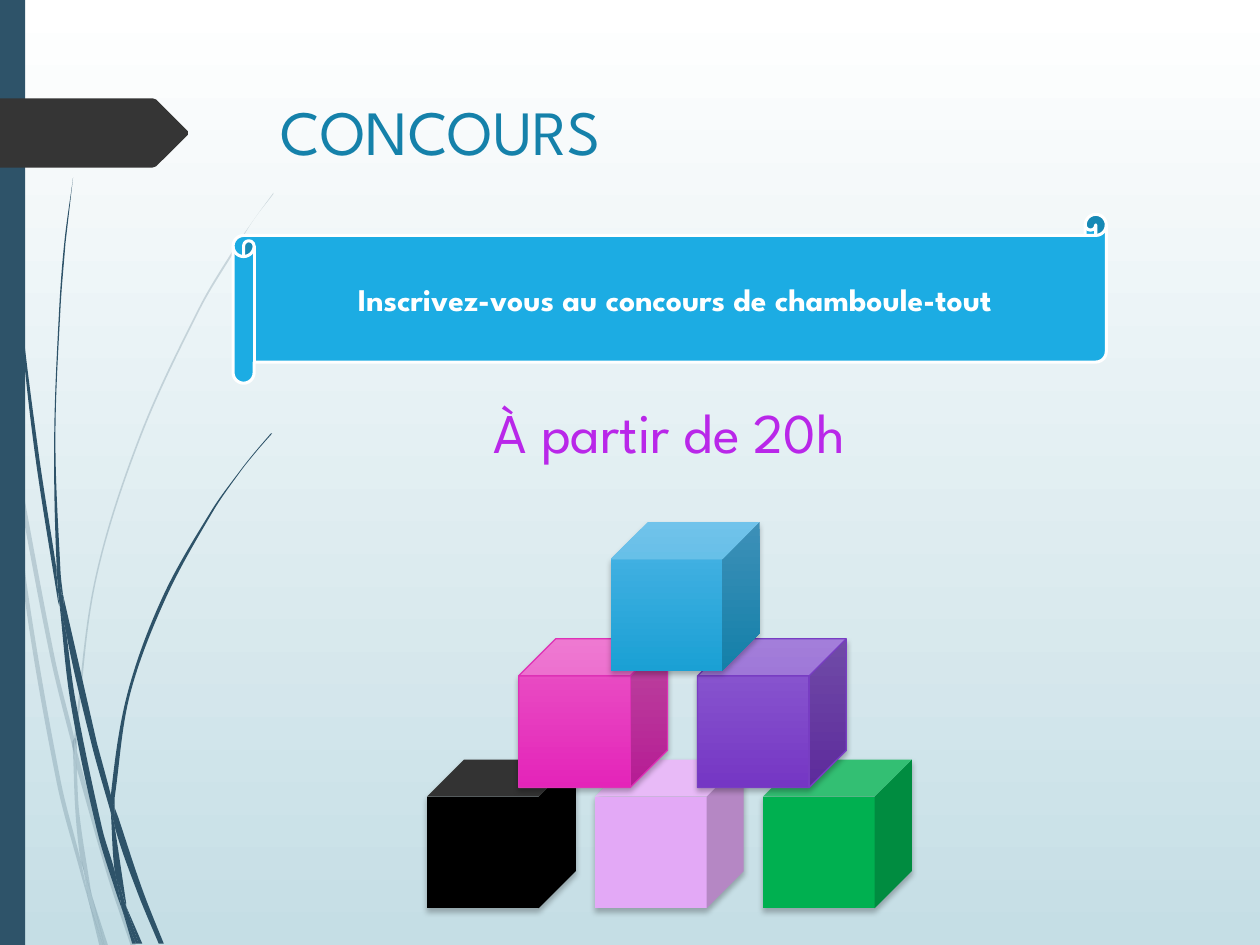
import math

from lxml import etree
from pptx import Presentation
from pptx import util as u
from pptx.dml.color import RGBColor
from pptx.enum import shapes, text
from pptx.oxml import ns

Pt = u.Pt
FONT = "League Spartan"
GRID = 0.72
FINE = 10
WHITE = RGBColor(0xFF, 0xFF, 0xFF)
MIST = RGBColor(0xC5, 0xDE, 0xE5)
NAVY = RGBColor(0x2E, 0x53, 0x69)
CHARCOAL = RGBColor(0x35, 0x35, 0x35)
TEAL = RGBColor(0x15, 0x81, 0xAA)
SKY = RGBColor(0x1C, 0xAC, 0xE3)
VIOLET = RGBColor(0xB9, 0x27, 0xE9)
BLACK = RGBColor(0x00, 0x00, 0x00)
LILAC = RGBColor(0xE3, 0xA9, 0xF6)
GREEN = RGBColor(0x00, 0xB0, 0x50)
PINK = (RGBColor(0xEA, 0x58, 0xC6), RGBColor(0xE4, 0x24, 0xB9))
PINK_EDGE = RGBColor(0xDE, 0x31, 0xB6)
PURPLE = (RGBColor(0x8D, 0x5E, 0xD1), RGBColor(0x75, 0x36, 0xC4))
PURPLE_EDGE = RGBColor(0x78, 0x3D, 0xC3)
BLUE = (RGBColor(0x4D, 0xB5, 0xE6), RGBColor(0x1A, 0xA0, 0xD4))

PALE_BLADES = [
    "0,282 6,322 8,350 | 7,344 0,299",
    "10,345 43,520 59,586 | 59,599 40,522 12,376",
    "61,596 64,607 88,692 108,751 | 104,751 85,694 61,610",
    "73,711 86,751 | 83,751",
    "8,350 19,470 45,621 64,693 70,714 | 69,707 64,683 48,619 22,469 12,376",
    "58,599 60,646 64,683 67,692 73,711 | 72,706 63,646 61,610 61,608",
    "217,153 201,175 186,197 158,244 110,348 75,461 59,584 59,586"
    " | 61,596 61,584 76,462 111,349 159,245 187,198 201,175 217,154",
    "70,714 79,751 | 82,751",
    "61,608 61,610 | 61,596 59,586 58,599",
    "65,683 69,707 70,714 82,751 | 83,751 73,711 67,692",
]
DARK_BLADES = [
    "2,0 3,48 5,110 14,233 27,355 46,477 47,481"
    " | 45,457 45,453 30,355 15,232 6,109 4,48 3,0",
    "50,472 53,505 73,592 88,645 | 88,633 88,631 77,590",
    "91,641 91,656 109,708 126,749 | 130,749 113,706 94,649",
    "47,477 56,557 77,659 92,708 97,722 | 96,717 91,691 81,657 60,556 53,505",
    "58,141 51,193 47,245 43,349 45,449 49,472 | 50,472 48,453 44,349 48,245 52,193",
    "100,719 110,749 | 113,749",
    "45,449 45,453 47,477 53,505 | 50,472 49,472",
    "215,344 203,358 191,373 168,405 129,474 101,551 88,631 91,641"
    " | 91,633 103,552 131,476 169,406 191,374 203,359 216,344",
    "97,722 105,749 | 108,749",
    "88,645 91,691 96,706 100,719 | 100,716 91,656 90,651",
    "88,631 88,645 90,651 91,656 | 91,641",
    "91,691 96,717 97,722 108,749 | 110,749 100,719 96,706",
]
TAG = [(0, 78), (121, 78), (124, 79), (149, 104), (149, 107), (124, 132), (121, 133), (0, 133)]


def set_fill(fill, colour):
    """Fill with one colour, or with a pair running from top to bottom."""
    if isinstance(colour, RGBColor):
        fill.solid()
        fill.fore_color.rgb = colour
        return
    fill.gradient()
    fill.gradient_angle = 270
    for stop, rgb in zip(fill.gradient_stops, colour):
        stop.color.rgb = rgb


def style(sp, colour, edge=None, weight=0.75):
    """Give a shape its fill and line and take its shadow away."""
    sp.shadow.inherit = False
    set_fill(sp.fill, colour)
    if edge is None:
        sp.line.fill.background()
    else:
        sp.line.color.rgb = edge
        sp.line.width = Pt(weight)
    return sp


def set_text(sp, words, size, colour, bold=False, align=text.PP_ALIGN.CENTER):
    """Write one formatted line into a shape."""
    p = sp.text_frame.paragraphs[0]
    p.text = words
    p.alignment = align
    font = p.runs[0].font
    font.name, font.size, font.bold = FONT, Pt(size), bold
    font.color.rgb = colour


def add_outline(parent, points, colour, left=0, top=0):
    """Add a closed outline given in grid steps from the left and top."""
    dots = [((left / GRID + x) * FINE, (top / GRID + y) * FINE) for x, y in points]
    builder = parent.build_freeform(*dots[0], scale=Pt(GRID) / FINE)
    builder.add_line_segments(dots[1:], close=True)
    return style(builder.convert_to_shape(), colour)


def tangents(edge):
    """Return the unit direction of an edge at each of its points."""
    result = []
    for a, b in zip([edge[0], *edge], [*edge[1:], edge[-1]]):
        length = math.dist(a, b) or 1
        result.append(((b[0] - a[0]) / length, (b[1] - a[1]) / length))
    return result


def bend(segments, edge):
    """Turn the straight segments along an edge into smooth curves."""
    ways = tangents(edge)
    for seg, a, b, s, t in zip(segments, edge, edge[1:], ways, ways[1:]):
        third = math.dist(a, b) / 3
        handles = [[p + third * d for p, d in zip(a, s)], [p - third * d for p, d in zip(b, t)]]
        seg.tag = ns.qn("a:cubicBezTo")
        for i, (x, y) in enumerate(handles):
            seg.insert(i, seg.makeelement(ns.qn("a:pt"), {"x": str(round(x)), "y": str(round(y))}))


def add_blade(parent, outline, opacity, left, top):
    """Add a curved blade of grass from its two edges."""
    edges = [[tuple(map(int, dot.split(","))) for dot in side.split()]
             for side in outline.split("|")]
    sp = add_outline(parent, edges[0] + edges[1], NAVY, left, top)
    steps = list(sp._element.spPr.find(".//" + ns.qn("a:path")))[:-1]
    dots = [(int(step[0].get("x")), int(step[0].get("y"))) for step in steps]
    n = len(edges[0])
    bend(steps[1:n], dots[:n])
    bend(steps[n + 1:], dots[n:n + len(edges[1])])
    if opacity < 100:
        rgb = sp.fill._xPr.find(".//" + ns.qn("a:srgbClr"))
        etree.SubElement(rgb, ns.qn("a:alpha"), val=str(opacity * 1000))


def add_decor(s, left, top, height):
    """Draw the background, grass, side bar and tag."""
    set_fill(s.background.fill, (WHITE, MIST))
    for blades, opacity in ((PALE_BLADES, 20), (DARK_BLADES, 100)):
        group = s.shapes.add_group_shape()
        for blade in blades:
            add_blade(group.shapes, blade, opacity, left, top)
    bar = map(Pt, (left, top, 14.4, height))
    style(s.shapes.add_shape(shapes.MSO_SHAPE.RECTANGLE, *bar), NAVY)
    add_outline(s.shapes, TAG, CHARCOAL, left, top)


def add_label(s, box, words, size, colour, align, wrap):
    """Add a plain line of text."""
    sp = s.shapes.add_textbox(*map(Pt, box))
    sp.text_frame.word_wrap = wrap
    set_text(sp, words, size, colour, align=align)


def add_banner(s, box, words):
    """Add the scroll that carries the invitation."""
    sp = s.shapes.add_shape(shapes.MSO_SHAPE.HORIZONTAL_SCROLL, *map(Pt, box))
    style(sp, SKY, WHITE, 1.75)
    sp.text_frame.vertical_anchor = text.MSO_ANCHOR.MIDDLE
    set_text(sp, words, 18, WHITE, bold=True)


def add_cube(parent, left, top, size, colour, edge=None):
    """Add a cube with a soft shadow below it."""
    box = map(Pt, (left, top, size, size))
    sp = style(parent.add_shape(shapes.MSO_SHAPE.CUBE, *box), colour, edge)
    effects = sp._element.spPr.find(ns.qn("a:effectLst"))
    shadow = etree.SubElement(effects, ns.qn("a:outerShdw"), blurRad=str(Pt(3)),
                              dist=str(Pt(2)), dir="5400000", algn="ctr", rotWithShape="0")
    rgb = etree.SubElement(shadow, ns.qn("a:srgbClr"), val=str(BLACK))
    etree.SubElement(rgb, ns.qn("a:alpha"), val="25000")


def add_pyramid(s, left, top, size=85):
    """Stack six cubes in three rows, from the bottom row up."""
    rows = [
        (136, 0, 96, [(BLACK,), (LILAC,), (GREEN,)]),
        (67, 52.4, 102.2, [(PINK, PINK_EDGE), (PURPLE, PURPLE_EDGE)]),
        (0.2, 105, 0, [(BLUE,)]),
    ]
    group = s.shapes.add_group_shape()
    for dy, dx, pitch, cubes in rows:
        for i, colours in enumerate(cubes):
            add_cube(group.shapes, left + dx + i * pitch, top + dy, size, *colours)


def main():
    """Build the contest slide."""
    prs = Presentation()
    prs.slide_width, prs.slide_height = Pt(720), Pt(540)
    s = prs.slides.add_slide(prs.slide_layouts[6])
    add_decor(s, 0, 0, 540)
    add_label(s, (153.4, 49.4, 519, 101), "CONCOURS", 36, TEAL, text.PP_ALIGN.LEFT, True)
    add_banner(s, (133.2, 122.5, 499, 96.5), "Inscrivez-vous au concours de chamboule-tout")
    add_label(s, (260.2, 223.6, 245, 46), "À partir de 20h", 32, VIOLET,
              text.PP_ALIGN.CENTER, False)
    add_pyramid(s, 244, 298)
    prs.save("out.pptx")


if __name__ == "__main__":
    main()
